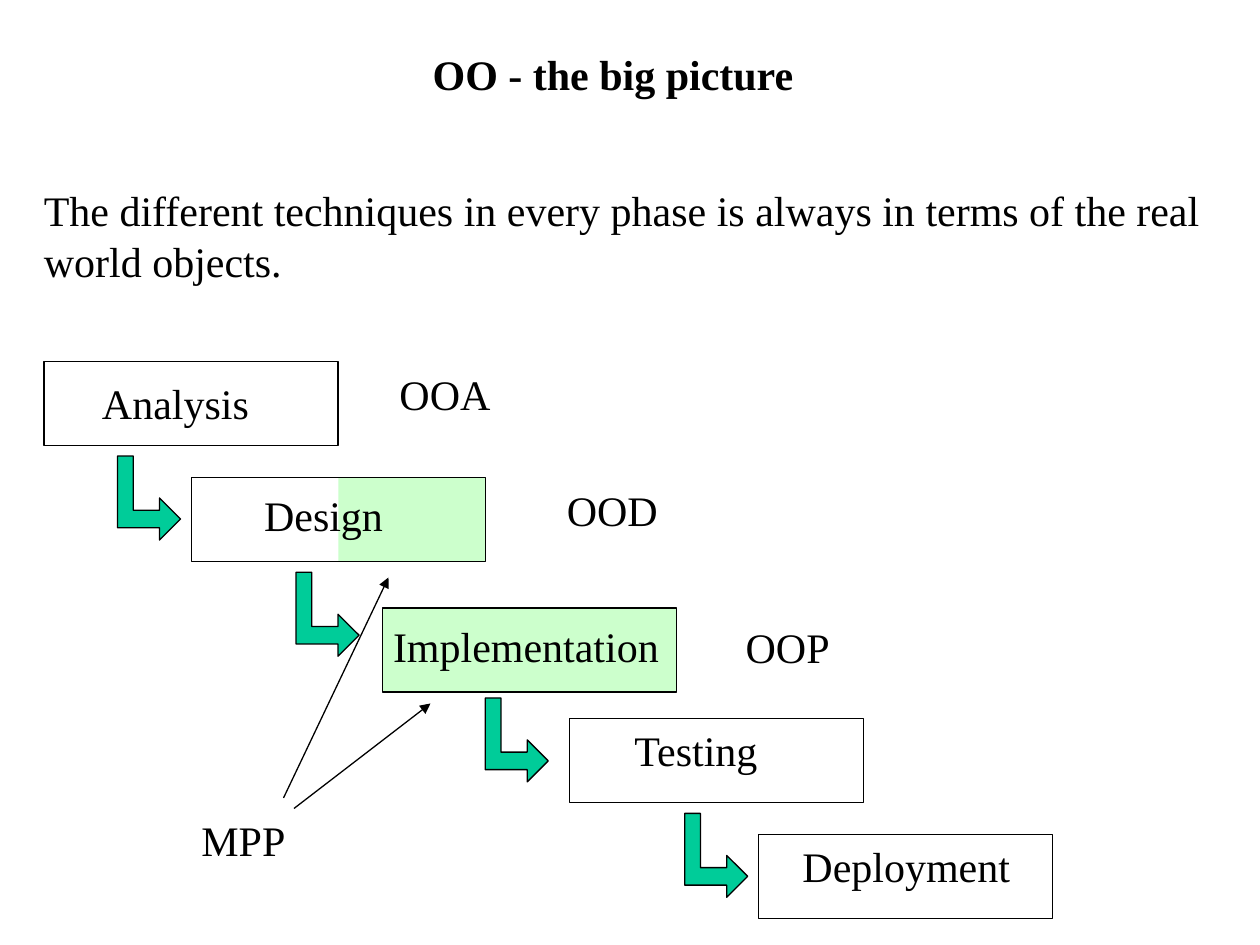
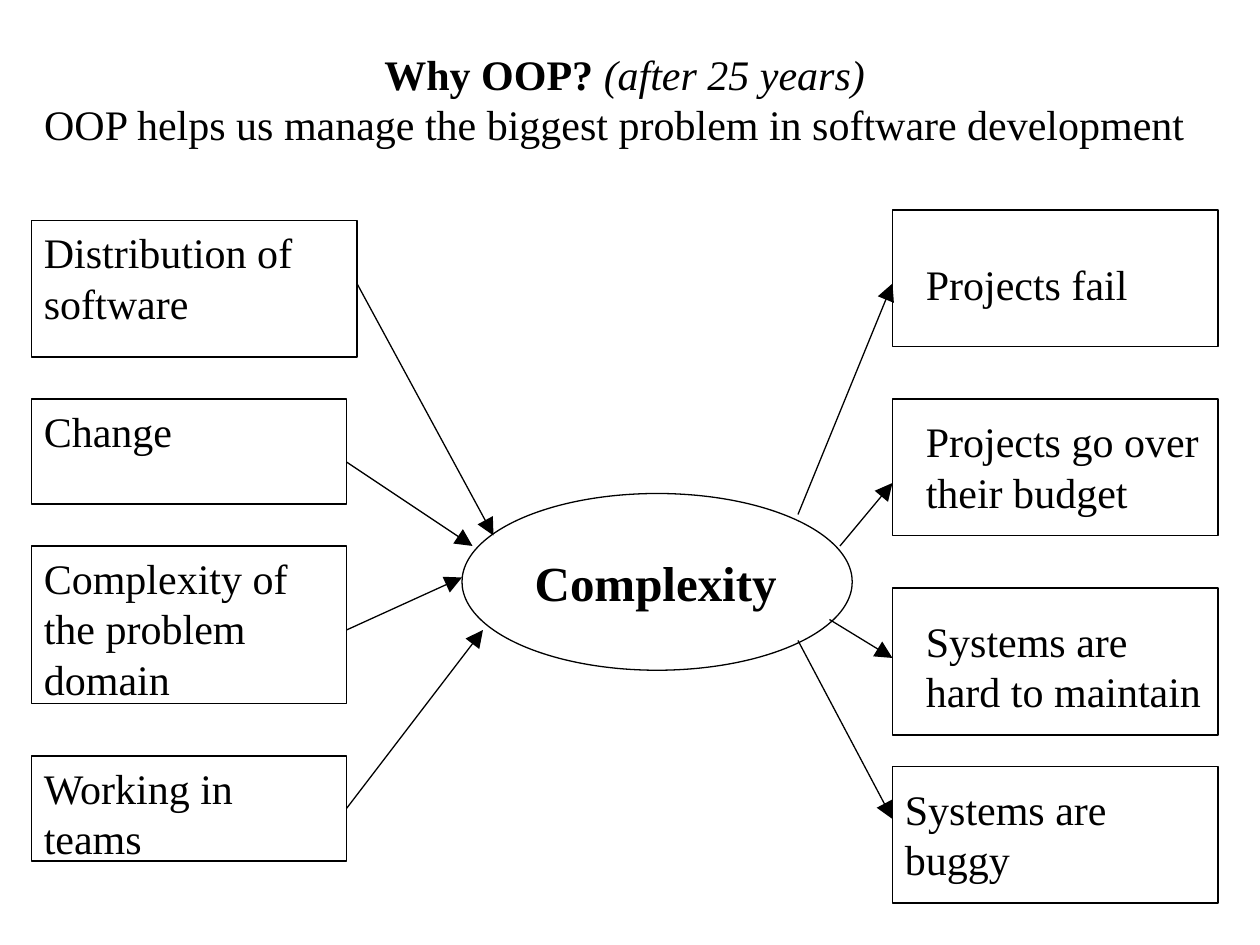
from pptx import Presentation
from pptx.dml.color import RGBColor
from pptx.enum import shapes, text
from pptx.oxml.ns import qn
from pptx.util import Pt
from lxml import etree

FONT = "Times New Roman"
BLACK, WHITE, MINT, GREEN = "000000", "FFFFFF", "CCFFCC", "00CC99"
LINE_WIDTH = 0.75
STAGE_SIZE = (168, 48)
ELBOW = [(36, 36), (24, 24), (24, 31), (9, 31), (9, 0),
         (0, 0), (0, 41), (24, 41), (24, 48)]


# Shared helpers
def color(value):
    return RGBColor.from_string(value)


def add_span(para, words, size=24, bold=False, italic=False):
    span = para.add_run()
    span.text = words
    font = span.font
    font.name, font.size, font.bold, font.italic = FONT, Pt(size), bold, italic
    font.color.rgb = color(BLACK)


def write(frame, words, wrap=True, align=text.PP_ALIGN.LEFT, **style):
    """Write one paragraph for each line of words."""
    frame.word_wrap = wrap
    frame.auto_size = text.MSO_AUTO_SIZE.NONE
    frame.vertical_anchor = text.MSO_ANCHOR.TOP
    for number, line in enumerate(words.split("\n")):
        para = frame.add_paragraph() if number else frame.paragraphs[0]
        para.alignment = align
        add_span(para, line, **style)


def add_label(page, box, words, **style):
    label = page.shapes.add_textbox(*map(Pt, box))
    write(label.text_frame, words, **style)


def paint(shape, fill=None, line=BLACK):
    shape.shadow.inherit = False
    if fill:
        shape.fill.solid()
        shape.fill.fore_color.rgb = color(fill)
    else:
        shape.fill.background()
    if line:
        shape.line.color.rgb = color(line)
        shape.line.width = Pt(LINE_WIDTH)
    else:
        shape.line.fill.background()


def add_box(page, box, kind=shapes.MSO_SHAPE.RECTANGLE, **look):
    shape = page.shapes.add_shape(kind, *map(Pt, box))
    paint(shape, **look)
    return shape


def add_arrow(page, start, end, head="med"):
    arrow = page.shapes.add_connector(
        shapes.MSO_CONNECTOR.STRAIGHT, *map(Pt, start + end))
    arrow.line.color.rgb = color(BLACK)
    arrow.line.width = Pt(LINE_WIDTH)
    etree.SubElement(arrow.line._get_or_add_ln(), qn("a:tailEnd"),
                     type="triangle", w=head, len=head)
    etree.SubElement(arrow._element.spPr, qn("a:effectLst"))


def add_page(deck, box):
    """Add a page and return it with the text frame of its placed title."""
    page = deck.slides.add_slide(deck.slide_layouts[5])
    page.background.fill.solid()
    page.background.fill.fore_color.rgb = color(WHITE)
    title = page.shapes.title
    title.left, title.top, title.width, title.height = map(Pt, box)
    return page, title.text_frame


# Development phases
def add_elbow(page, left, top):
    points = [(Pt(left + x), Pt(top + y)) for x, y in ELBOW]
    builder = page.shapes.build_freeform(*points[0], scale=1.0)
    builder.add_line_segments(points[1:], close=True)
    paint(builder.convert_to_shape(), fill=GREEN)


def add_stage(page, left, top, name, name_box, fill=None,
              half=False, technique=None, elbow=None):
    """Place a phase; all offsets are from its top left corner."""
    width, height = STAGE_SIZE
    if half:
        add_box(page, (left + width / 2, top, width / 2, height), fill=MINT, line=None)
    add_box(page, (left, top, width, height), fill=fill)
    x, y, name_width = name_box
    add_label(page, (left + x, top + y, name_width, 36), name, wrap=False)
    if technique:
        words, x, y = technique
        add_label(page, (left + x, top + y, 66, 36), words, wrap=False)
    if elbow:
        add_elbow(page, left + elbow[0], top + elbow[1])


def build_big_picture(deck):
    page, title = add_page(deck, (240, 24, 221, 36))
    write(title, "OO - the big picture", wrap=False, bold=True)
    add_label(page, (18, 102, 678, 65), "The different techniques in every phase "
              "is always in terms of the real world objects.")

    add_stage(page, 25.2, 206.6, "Analysis", (26, 5.5, 112),
              technique=("OOA", 196, 0.5), elbow=(42, 54))
    add_stage(page, 109.3, 273, "Design", (34.5, 3, 82), half=True,
              technique=("OOD", 207.5, 0.5), elbow=(59.9, 54))
    add_stage(page, 218.5, 347.5, "Implementation", (-1, 3.4, 168), fill=MINT,
              technique=("OOP", 200.5, 4), elbow=(58.8, 51.3))
    add_stage(page, 325.5, 410.5, "Testing", (30, 0, 86), elbow=(65.8, 54.3))
    add_stage(page, 433.5, 476.7, "Deployment", (18, 0, 133))

    # MPP label and arrows
    add_label(page, (108, 462, 62, 36), "MPP", wrap=False)
    add_arrow(page, (162, 456), (222, 330))
    add_arrow(page, (168, 462), (246, 402))


# Boxes on both sides of the ellipse
def add_left_box(page, box, words, exit_y, end):
    shape = add_box(page, box, fill=WHITE)
    write(shape.text_frame, words)
    left, top, width, _ = box
    add_arrow(page, (left + width, top + exit_y), end, head="lg")


def add_right_box(page, box, words, offset, start, entry_y):
    add_box(page, box)
    left, top, width, _ = box
    x, y = offset
    height = 65 if "\n" in words else 36
    add_label(page, (left + x, top + y, width - x, height), words, wrap=False)
    add_arrow(page, start, (left, top + entry_y), head="lg")


def build_why_oop(deck):
    page, title = add_page(deck, (18, 24, 678, 65))
    write(title, "Why OOP? ", align=text.PP_ALIGN.CENTER, bold=True)
    add_span(title.paragraphs[0], "(after 25 years)", italic=True)
    para = title.add_paragraph()
    para.alignment = text.PP_ALIGN.LEFT
    add_span(para, "OOP helps us manage the biggest problem in software development")

    add_box(page, (264, 282, 223, 101), kind=shapes.MSO_SHAPE.OVAL, fill=WHITE)
    add_label(page, (298.5, 312, 163, 42), "Complexity", size=28, bold=True)

    left_boxes = [
        ("Distribution of software", 126, 186, 78, 36, (282, 306)),
        ("Change", 228, 180, 60, 36, (270, 312)),
        ("Complexity of the problem domain", 312, 180, 90, 48, (264, 330)),
        ("Working in teams", 432, 180, 60, 30, (276, 360)),
    ]
    for words, top, width, height, exit_y, end in left_boxes:
        add_left_box(page, (18, top, width, height), words, exit_y, end)

    right_boxes = [
        ("Projects fail", 120, 78, (12, 24), (456, 294), 42),
        ("Projects go over\ntheir budget", 228, 78, (12, 6), (480, 312), 48),
        ("Systems are\nhard to maintain", 336, 84, (12, 12), (474, 354), 40),
        ("Systems are\nbuggy", 438, 78, (0, 6), (456, 366), 30),
    ]
    for words, top, height, offset, start, entry_y in right_boxes:
        add_right_box(page, (510, top, 186, height), words, offset, start, entry_y)


def main():
    deck = Presentation()
    deck.slide_width, deck.slide_height = Pt(720), Pt(540)
    build_big_picture(deck)
    build_why_oop(deck)
    deck.save("out.pptx")


if __name__ == "__main__":
    main()
